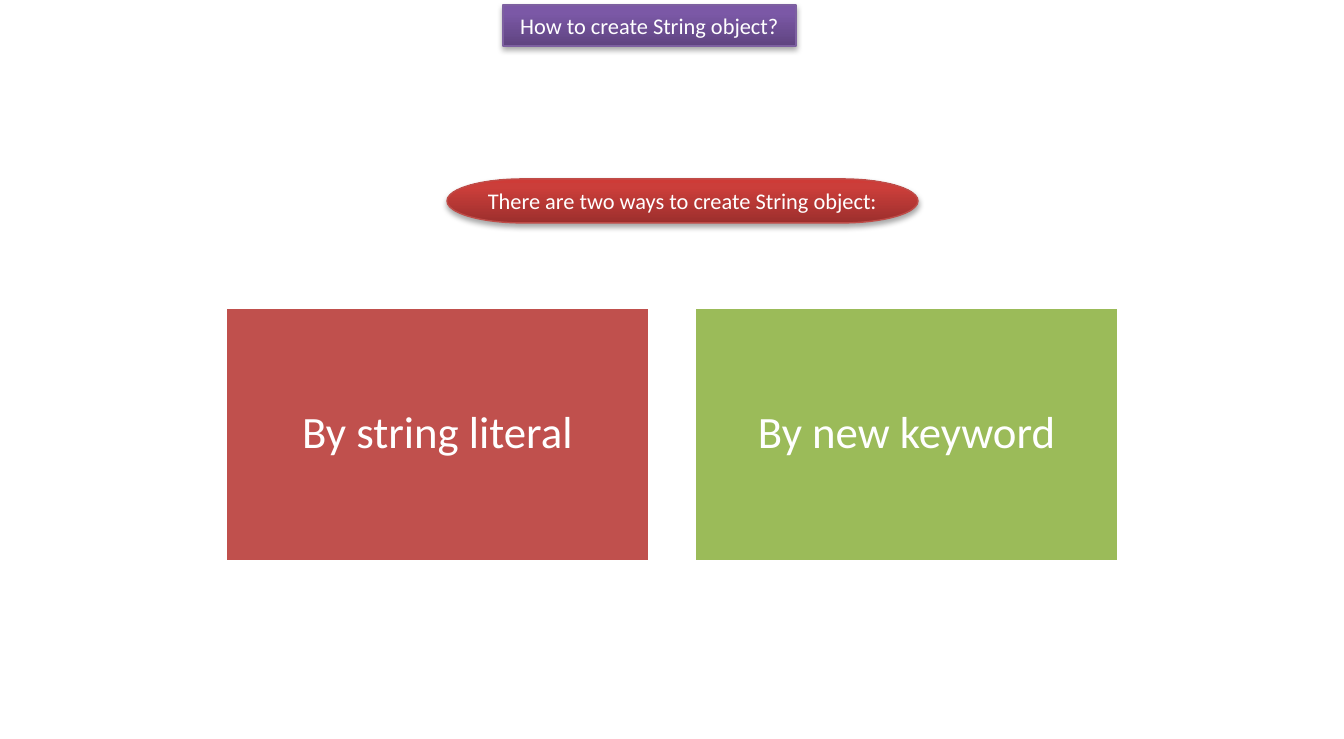
from lxml import etree
from pptx import Presentation
from pptx.dml.color import RGBColor
from pptx.enum.shapes import MSO_SHAPE
from pptx.enum.text import MSO_ANCHOR, MSO_AUTO_SIZE, PP_ALIGN
from pptx.oxml.ns import qn
from pptx.util import Inches, Pt

RECT = MSO_SHAPE.RECTANGLE
PILL = MSO_SHAPE.FLOWCHART_TERMINATOR
CENTER = PP_ALIGN.CENTER
MIDDLE = MSO_ANCHOR.MIDDLE
FIXED = MSO_AUTO_SIZE.NONE
SCALE = 914400 / 134.4

TITLE = {
    "text": "How to create String object?",
    "box": (503, 5, 293, 41),
    "stops": [(0, "5F4480"), (80, "7B58A6"), (100, "7C57A8")],
    "line": "7D60A0",
}
INTRO = {
    "text": "There are two ways to create String object:",
    "box": (447, 179, 471, 44),
    "stops": [(0, "9C2F2D"), (80, "CB3E3A"), (100, "CE3B37")],
    "line": "BF4C48",
}
WAYS = [("By string literal", "C0504D"), ("By new keyword", "9BBB59")]
LEFT, TOP, WIDTH, HEIGHT, GAP = 225, 307, 425, 255, 44


def px(n):
    return round(n * SCALE)


def color(code):
    return RGBColor.from_string(code)


def border(shape, code, width):
    shape.line.color.rgb = color(code)
    shape.line.width = Pt(width)


def write(shape, text, size):
    frame = shape.text_frame
    frame.word_wrap = True
    frame.auto_size = FIXED
    frame.vertical_anchor = MIDDLE
    para = frame.paragraphs[0]
    para.alignment = CENTER
    run = para.add_run()
    run.text = text
    run.font.name = "Calibri"
    run.font.size = Pt(size)
    run.font.color.rgb = color("FFFFFF")
    return frame


def sub(parent, tag, **attrs):
    node = etree.SubElement(parent, qn(tag))
    for key, value in attrs.items():
        node.set(key, str(value))
    return node


def glossy(shape, item):
    shape.fill.gradient()
    shape.fill.gradient_angle = 90
    border(shape, item["line"], 0.75)
    shape.shadow.inherit = False
    props = shape._element.spPr
    stops = props.find(".//" + qn("a:gsLst"))
    for old in list(stops):
        stops.remove(old)
    for pos, code in item["stops"]:
        stop = sub(stops, "a:gs", pos=pos * 1000)
        sub(stop, "a:srgbClr", val=code)
    shade = sub(props.find(qn("a:effectLst")), "a:outerShdw", blurRad=Pt(3.1),
                dist=Pt(1.8), dir=5400000, rotWithShape=0)
    tint = sub(shade, "a:srgbClr", val="000000")
    sub(tint, "a:alpha", val=35000)
    write(shape, item["text"], 12)


def main():
    deck = Presentation()
    deck.slide_width, deck.slide_height = Inches(10), Inches(5.5)
    slide = deck.slides.add_slide(deck.slide_layouts[5])
    shapes = slide.shapes

    title = shapes.title
    title.left, title.top, title.width, title.height = map(px, TITLE["box"])
    glossy(title, TITLE)

    for i, (text, code) in enumerate(WAYS):
        box = (LEFT + i * (WIDTH + GAP), TOP, WIDTH, HEIGHT)
        card = shapes.add_shape(RECT, *map(px, box))
        card.shadow.inherit = False
        card.fill.solid()
        card.fill.fore_color.rgb = color(code)
        border(card, "FFFFFF", 2)
        frame = write(card, text, 24)
        frame.paragraphs[0].line_spacing = 0.9
        frame.margin_top = frame.margin_bottom = Inches(0.1)

    intro = shapes.add_shape(PILL, *map(px, INTRO["box"]))
    glossy(intro, INTRO)
    deck.save("out.pptx")


if __name__ == "__main__":
    main()
